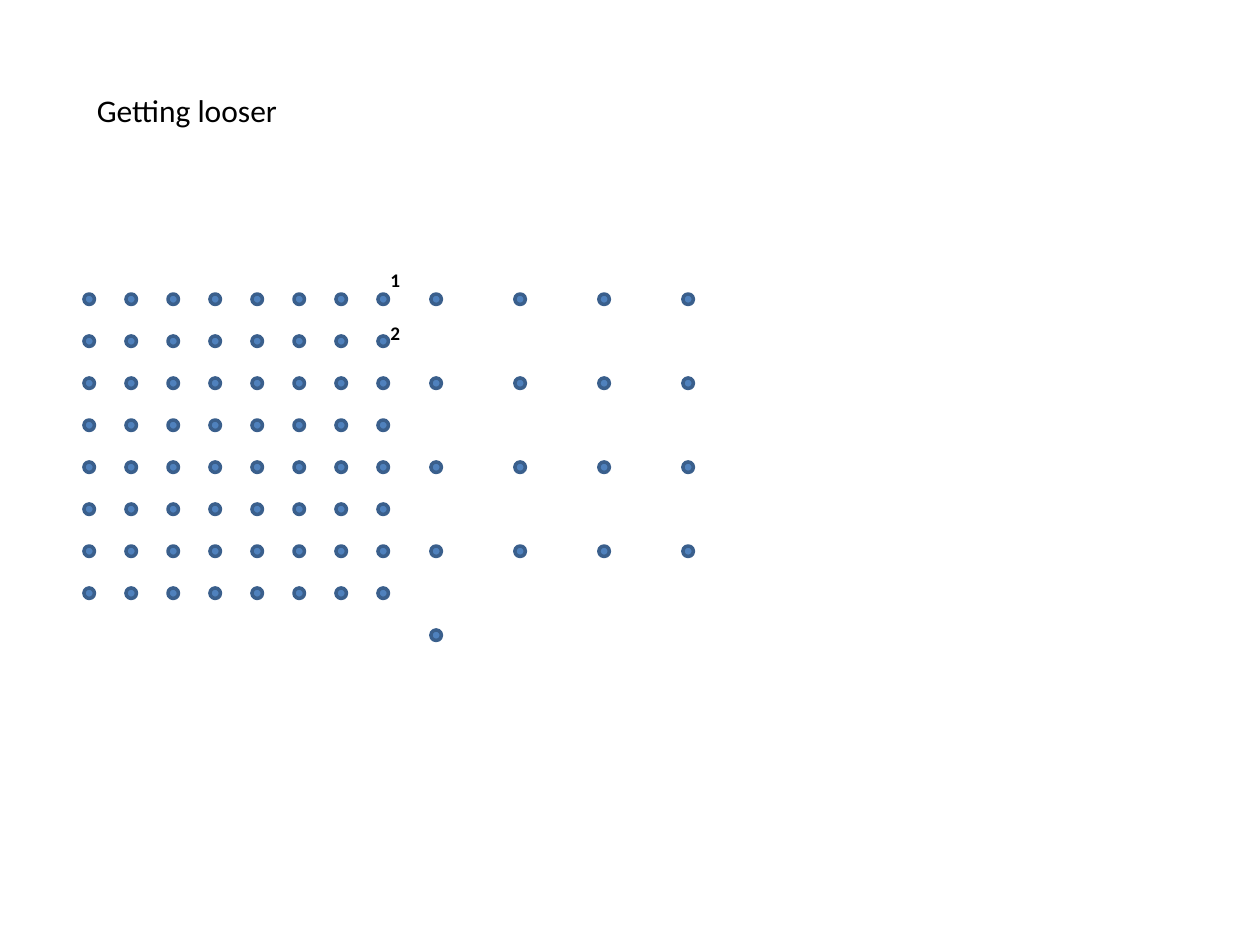
from itertools import product

from pptx import Presentation
from pptx.dml.color import RGBColor
from pptx.enum.shapes import MSO_SHAPE as SHAPE
from pptx.enum.text import MSO_AUTO_SIZE as AUTO
from pptx.util import Inches, Pt

DOT = 1 / 12
STEP = 1 / 3


def color(hex_text):
    """Turn a hex string into a colour."""
    return RGBColor.from_string(hex_text)


def add_dot(shapes, x, y):
    """Draw one round dot with its top left corner at x, y."""
    sp = shapes.add_shape(SHAPE.OVAL, Inches(x), Inches(y), Inches(DOT), Inches(DOT))
    sp.shadow.inherit = False
    sp.fill.solid()
    sp.fill.fore_color.rgb = color("4F81BD")
    sp.line.color.rgb = color("3A5F8C")
    sp.line.width = Pt(2)


def add_dot_grid(s, x, y, count, step):
    """Group a square grid of dots, filled column by column."""
    group = s.shapes.add_group_shape()
    for col, row in product(range(count), repeat=2):
        add_dot(group.shapes, x + col * step, y + row * step)


def add_label(s, text, x, y, w, h, size, bold=False):
    """Add a one-line text box that fits its text."""
    sp = s.shapes.add_textbox(Inches(x), Inches(y), Inches(w), Inches(h))
    tf = sp.text_frame
    tf.word_wrap = False
    tf.auto_size = AUTO.SHAPE_TO_FIT_TEXT
    r = tf.paragraphs[0].add_run()
    r.text = text
    r.font.name = "Calibri"
    r.font.size = Pt(size)
    r.font.bold = bold
    r.font.color.rgb = color("000000")


def build_slide(prs):
    """Place the dense grid, the loose grid, the stray dot and the labels."""
    s = prs.slides.add_slide(prs.slide_layouts[6])
    top, loose_left = 7 * STEP, 3.42
    add_dot_grid(s, 2 * STEP, top, 8, STEP)
    add_dot_grid(s, loose_left, top, 4, 2 * STEP)
    add_dot(s.shapes, loose_left, top + 8 * STEP)
    add_label(s, "Getting looser", 0.67, 0.67, 1.66, 0.4, 18)
    for text, y in (("1", 2.08), ("2", 2.5)):
        add_label(s, text, 3, y, 0.28, 0.29, 11, bold=True)


prs = Presentation()
prs.slide_width, prs.slide_height = Inches(10), Inches(7.5)
build_slide(prs)
prs.save("out.pptx")
